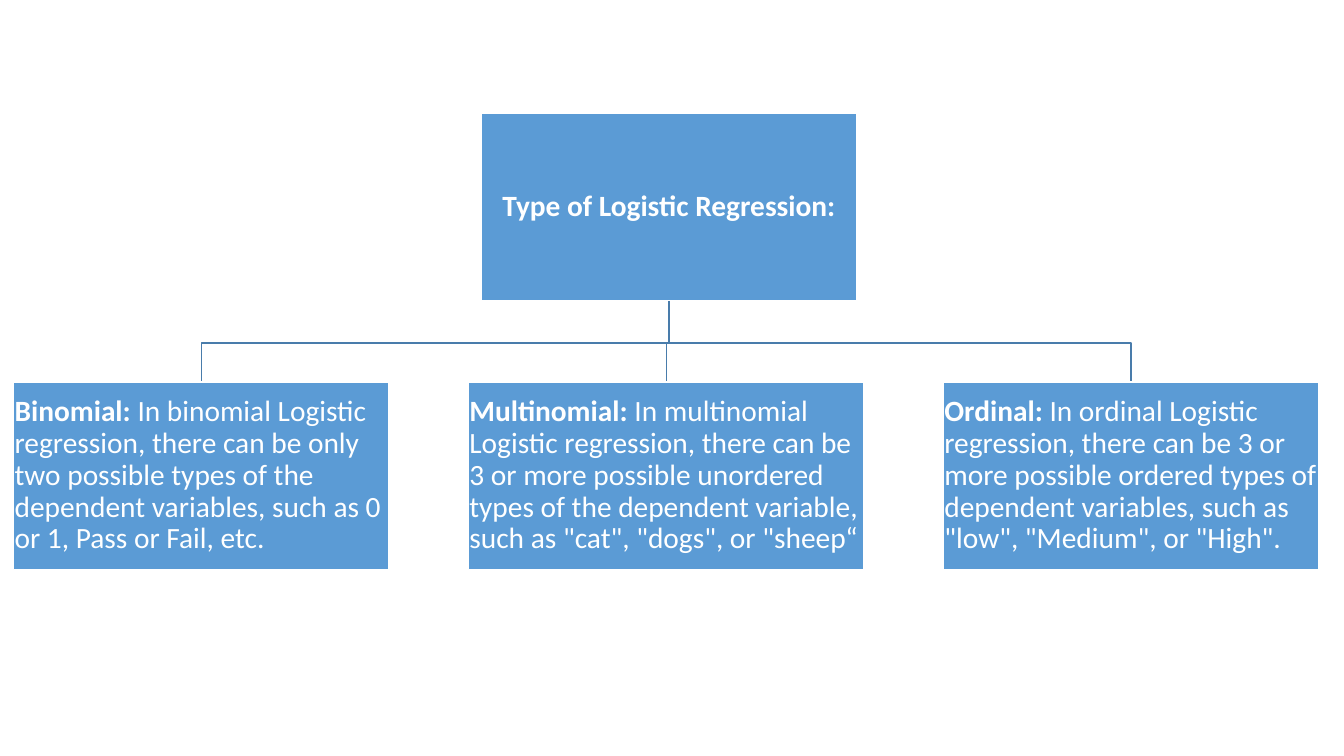
from pptx import Presentation
from pptx.dml.color import RGBColor
from pptx.enum.shapes import MSO_SHAPE
from pptx.enum.text import MSO_ANCHOR, PP_ALIGN
from pptx.util import Cm, Pt

BOX_BLUE = RGBColor(0x5B, 0x9B, 0xD5)
BRANCH_BLUE = RGBColor(0x49, 0x7C, 0xAB)
WHITE = RGBColor(0xFF, 0xFF, 0xFF)

BOX_HEIGHT = 4.72
ROOT_WIDTH = 9.47
ROW_GAP = 1.99
LEVEL_GAP = 2.06
ROOT_TITLE = "Type of Logistic Regression:"
REGRESSION_TYPES = [
    (9.47, "Binomial:", " In binomial Logistic regression, there can be only two possible "
     "types of the dependent variables, such as 0 or 1, Pass or Fail, etc."),
    (9.98, "Multinomial:", " In multinomial Logistic regression, there can be 3 or more possible "
     "unordered types of the dependent variable, such as \"cat\", \"dogs\", or \"sheep“"),
    (9.47, "Ordinal:", " In ordinal Logistic regression, there can be 3 or more possible "
     "ordered types of dependent variables, such as \"low\", \"Medium\", or \"High\"."),
]
FRAME_FORMAT = {
    "word_wrap": True,
    "vertical_anchor": MSO_ANCHOR.MIDDLE,
    "margin_left": Cm(0.03),
    "margin_right": Cm(0.03),
    "margin_top": Cm(0.03),
    "margin_bottom": Cm(0.03),
}
FONT_FORMAT = {"name": "Calibri", "size": Pt(21)}


def apply_format(target, values):
    """Set each named attribute of the target."""
    for name, value in values.items():
        setattr(target, name, value)


def add_box(slide, left, top, width, term, description="", alignment=PP_ALIGN.LEFT):
    """Draw one box of the tree with a bold term and its description."""
    box = slide.shapes.add_shape(
        MSO_SHAPE.RECTANGLE, Cm(left), Cm(top), Cm(width), Cm(BOX_HEIGHT))
    box.shadow.inherit = False
    box.fill.solid()
    box.fill.fore_color.rgb = BOX_BLUE
    box.line.color.rgb = WHITE
    box.line.width = Pt(1)
    apply_format(box.text_frame, FRAME_FORMAT)
    paragraph = box.text_frame.paragraphs[0]
    apply_format(paragraph, {"alignment": alignment, "line_spacing": 0.9})
    for words, bold in ((term, True), (description, False)):
        if words:
            run = paragraph.add_run()
            run.text = words
            apply_format(run.font, {**FONT_FORMAT, "bold": bold})
            run.font.color.rgb = WHITE


def add_branch(slide, root_x, root_bottom, child_x, child_top):
    """Draw the angled line from the root down to one child."""
    bend = (root_bottom + child_top) / 2 + 0.04
    builder = slide.shapes.build_freeform(Cm(root_x), Cm(root_bottom))
    corners = [(root_x, bend), (child_x, bend), (child_x, child_top)]
    builder.add_line_segments([(Cm(x), Cm(y)) for x, y in corners], close=False)
    branch = builder.convert_to_shape()
    branch.shadow.inherit = False
    branch.fill.background()
    branch.line.color.rgb = BRANCH_BLUE
    branch.line.width = Pt(1)


def add_type_tree(slide, left, top, root_x):
    """Place the tree with its row starting at left and its root centred on root_x."""
    root_bottom = top + BOX_HEIGHT
    row_top = root_bottom + LEVEL_GAP
    children = []
    for width, term, description in REGRESSION_TYPES:
        children.append((left, width, term, description))
        left += width + ROW_GAP
    for child_left, width, _, _ in reversed(children):
        add_branch(slide, root_x, root_bottom, child_left + width / 2, row_top)
    add_box(slide, root_x - ROOT_WIDTH / 2, top, ROOT_WIDTH, ROOT_TITLE,
            alignment=PP_ALIGN.CENTER)
    for child_left, width, term, description in children:
        add_box(slide, child_left, row_top, width, term, description)


def main():
    """Build the slide and save it."""
    deck = Presentation()
    deck.slide_width, deck.slide_height = Cm(33.87), Cm(19.05)
    slide = deck.slides.add_slide(deck.slide_layouts[6])
    add_type_tree(slide, left=0.34, top=2.85, root_x=16.86)
    deck.save("out.pptx")


if __name__ == "__main__":
    main()
